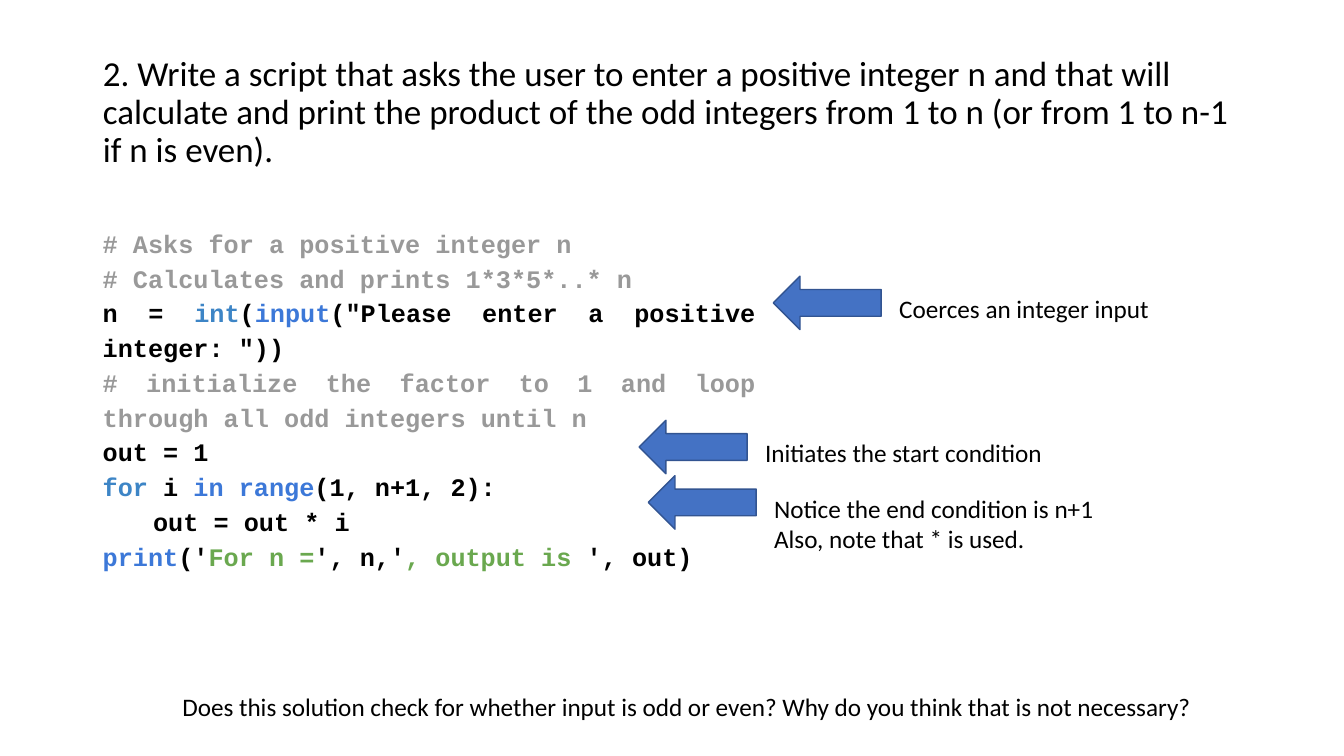
from pptx import Presentation
from pptx.dml.color import RGBColor
from pptx.enum.shapes import MSO_SHAPE
from pptx.enum.text import MSO_ANCHOR, MSO_AUTO_SIZE, PP_ALIGN
from pptx.util import Inches, Pt

BLACK, GREY, GREEN = "000000", "999999", "6AA84F"
KEYWORD, BUILTIN = "3D85C6", "3C78D8"
ARROW_FILL, ARROW_LINE = "4472C4", "325491"

QUESTION = (
    "2. Write a script that asks the user to enter a positive integer n and that will "
    "calculate and print the product of the odd integers from 1 to n "
    "(or from 1 to n-1 if n is even)."
)
CODE = [
    [("# Asks for a positive integer n", GREY)],
    [("# Calculates and prints 1*3*5*..* n", GREY)],
    [("n = ", BLACK), ("int", KEYWORD), ("(", BLACK), ("input", BUILTIN),
     ('("Please enter a positive integer: "))', BLACK)],
    [("# initialize the factor to 1 and loop through all odd integers until n", GREY)],
    [("out = 1", BLACK)],
    [("for ", KEYWORD), ("i ", BLACK), ("in range", BUILTIN), ("(1, n+1, 2):", BLACK)],
    [("\tout = out * i", BLACK)],
    [("print", BUILTIN), ("('", BLACK), ("For n =", GREEN), ("', n,'", BLACK),
     (", output is ", GREEN), ("', out)", BLACK)],
]
CALLOUTS = [
    (7.67, 2.74, ["Coerces an integer input"]),
    (6.34, 4.17, ["Initiates the start condition"]),
    (6.43, 4.72, ["Notice the end condition is n+1", "Also, note that * is used."]),
]
FOLLOW_UP = (
    "Does this solution check for whether input is odd or even? "
    "Why do you think that is not necessary?"
)


def colour(hex_value):
    return RGBColor.from_string(hex_value)


def apply(target, formats):
    for attribute, value in formats.items():
        setattr(target, attribute, value)


def plain(lines):
    return [[(line, BLACK)] for line in lines]


class Lesson:
    heading_font = {"name": "Calibri", "size": Pt(25), "bold": False}
    note_font = {"name": "Calibri", "size": Pt(18)}
    code_font = {"name": "Courier New", "size": Pt(18), "bold": True}
    heading_layout = {"alignment": PP_ALIGN.LEFT, "line_spacing": 0.9}
    note_layout = {"alignment": PP_ALIGN.LEFT}
    code_layout = {"alignment": PP_ALIGN.JUSTIFY, "line_spacing": 1.15}

    def __init__(self, slide):
        self.slide = slide

    def fill_lines(self, frame, lines, font, layout):
        for index, line in enumerate(lines):
            paragraph = frame.add_paragraph() if index else frame.paragraphs[0]
            apply(paragraph, layout)
            for text, shade in line:
                run = paragraph.add_run()
                run.text = text
                apply(run.font, font)
                run.font.color.rgb = colour(shade)

    def title(self, left, top, width, height, text):
        heading = self.slide.shapes.title
        apply(heading, {"left": Inches(left), "top": Inches(top),
                        "width": Inches(width), "height": Inches(height)})
        apply(heading.text_frame, {"auto_size": MSO_AUTO_SIZE.NONE, "word_wrap": True,
                                   "vertical_anchor": MSO_ANCHOR.MIDDLE})
        self.fill_lines(heading.text_frame, plain([text]),
                        self.heading_font, self.heading_layout)

    def text(self, left, top, width, height, lines, font=None, layout=None, wrap=True):
        box = self.slide.shapes.add_textbox(
            Inches(left), Inches(top), Inches(width), Inches(height))
        apply(box.text_frame, {"word_wrap": wrap,
                               "auto_size": MSO_AUTO_SIZE.SHAPE_TO_FIT_TEXT})
        self.fill_lines(box.text_frame, lines,
                        font or self.note_font, layout or self.note_layout)

    def code(self, left, top, width, height, lines):
        self.text(left, top, width, height, lines, self.code_font, self.code_layout)

    def arrow(self, left, top):
        pointer = self.slide.shapes.add_shape(
            MSO_SHAPE.LEFT_ARROW, Inches(left), Inches(top), Inches(1.07), Inches(0.53))
        pointer.shadow.inherit = False
        pointer.fill.solid()
        pointer.fill.fore_color.rgb = colour(ARROW_FILL)
        pointer.line.color.rgb = colour(ARROW_LINE)
        pointer.line.width = Pt(1)

    def callout(self, left, top, lines):
        self.arrow(left, top)
        height = 0.4 + 0.31 * (len(lines) - 1)
        self.text(left + 1.15, top + 0.12, 3.87, height, plain(lines))


def main():
    deck = Presentation()
    apply(deck, {"slide_width": Inches(13.33), "slide_height": Inches(7.5)})
    lesson = Lesson(deck.slides.add_slide(deck.slide_layouts.get_by_name("Title Only")))
    lesson.title(0.92, 0.4, 11.5, 1.45, QUESTION)
    lesson.code(0.92, 2.17, 6.67, 3.57, CODE)
    lesson.text(1.71, 6.81, 10.33, 0.4, plain([FOLLOW_UP]), wrap=False)
    for left, top, lines in CALLOUTS:
        lesson.callout(left, top, lines)
    deck.save("out.pptx")


if __name__ == "__main__":
    main()
